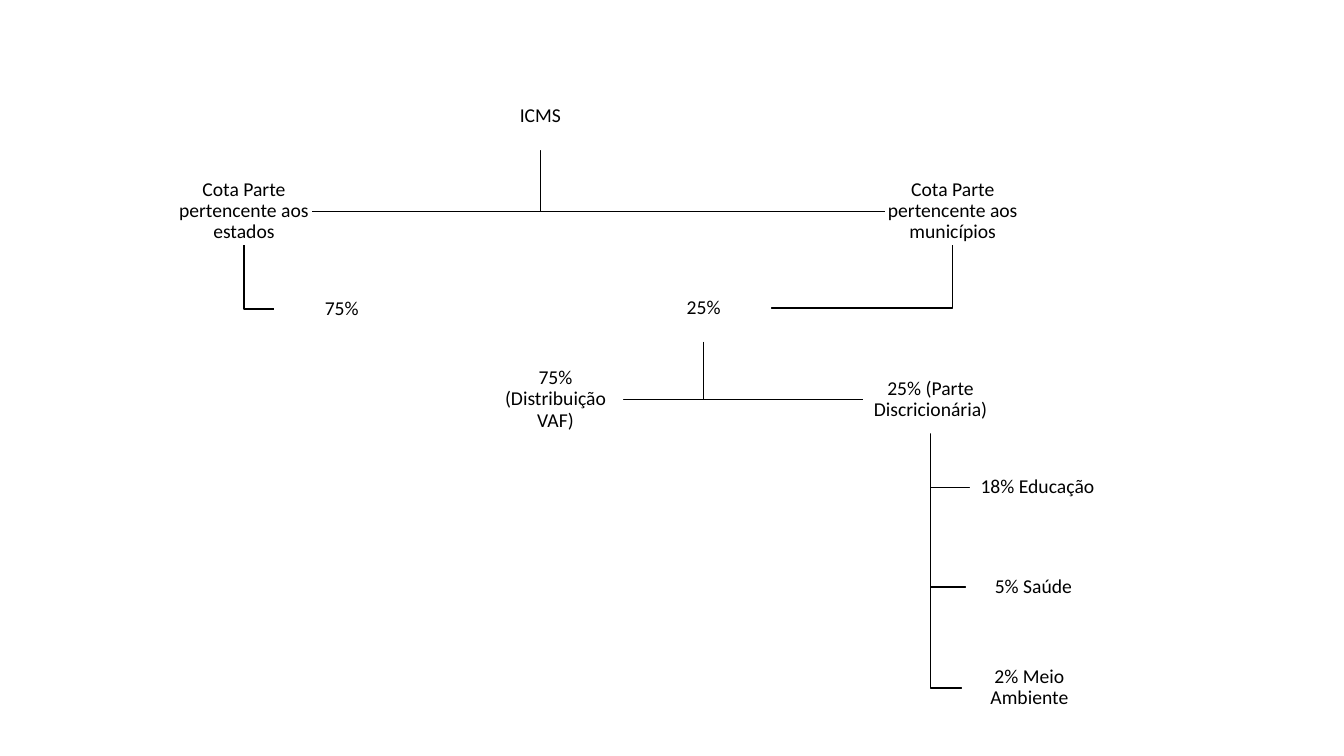
from dataclasses import dataclass

from pptx import Presentation
from pptx.dml.color import RGBColor
from pptx.enum.shapes import MSO_SHAPE
from pptx.enum.text import MSO_ANCHOR, PP_ALIGN
from pptx.util import Inches, Pt

COLORS = {"ink": "000000", "paper": "FFFFFF"}
WIDE, HIGH, INSET = 1.34, 0.67, 0.01


@dataclass(frozen=True)
class Node:
    text: str
    left: float
    top: float

    @property
    def mid(self) -> float:
        return self.left + WIDE / 2


def color(name: str) -> RGBColor:
    return RGBColor.from_string(COLORS[name])


def draw_link(shapes, top: Node, low: Node) -> None:
    """Run from the bottom of one node down and across to the side of another."""
    side = low.left if low.mid > top.mid else low.left + WIDE
    turn = low.top + HIGH / 2
    pen = shapes.build_freeform(Inches(top.mid), Inches(top.top + HIGH))
    pen.add_line_segments(
        [(Inches(top.mid), Inches(turn)), (Inches(side), Inches(turn))], close=False
    )
    link = pen.convert_to_shape()
    link.shadow.inherit = False
    link.fill.background()
    link.line.color.rgb = color("ink")
    link.line.width = Pt(1)


def draw_node(shapes, node: Node) -> None:
    box = shapes.add_shape(
        MSO_SHAPE.RECTANGLE,
        Inches(node.left), Inches(node.top), Inches(WIDE), Inches(HIGH),
    )
    box.shadow.inherit = False
    box.fill.solid()
    box.fill.fore_color.rgb = color("paper")
    box.line.fill.background()
    frame = box.text_frame
    frame.text = node.text
    frame.word_wrap = True
    frame.vertical_anchor = MSO_ANCHOR.MIDDLE
    frame.margin_left = frame.margin_right = Inches(INSET)
    frame.margin_top = frame.margin_bottom = Inches(INSET)
    para = frame.paragraphs[0]
    para.alignment = PP_ALIGN.CENTER
    para.line_spacing = 0.9
    font = para.runs[0].font
    font.name = "Calibri"
    font.size = Pt(14)
    font.color.rgb = color("ink")


def main() -> None:
    root = Node("ICMS", 4.69, 0.82)
    state = Node("Cota Parte pertencente aos estados", 1.75, 1.76)
    town = Node("Cota Parte pertencente aos municípios", 8.78, 1.76)
    state_cut = Node("75%", 2.72, 2.73)
    town_cut = Node("25%", 6.31, 2.72)
    vaf = Node("75% (Distribuição VAF)", 4.84, 3.63)
    free = Node("25% (Parte Discricionária)", 8.56, 3.63)
    school = Node("18% Educação", 9.62, 4.5)
    health = Node("5% Saúde", 9.58, 5.49)
    green = Node("2% Meio Ambiente", 9.54, 6.49)

    tree = {
        root: (state, town),
        state: (state_cut,),
        town: (town_cut,),
        town_cut: (vaf, free),
        free: (school, health, green),
    }

    deck = Presentation()
    deck.slide_width, deck.slide_height = Inches(13.33), Inches(7.5)
    shapes = deck.slides.add_slide(deck.slide_layouts[6]).shapes
    for top, lows in tree.items():
        for low in lows:
            draw_link(shapes, top, low)
    draw_node(shapes, root)
    for lows in tree.values():
        for low in lows:
            draw_node(shapes, low)
    deck.save("out.pptx")


if __name__ == "__main__":
    main()
